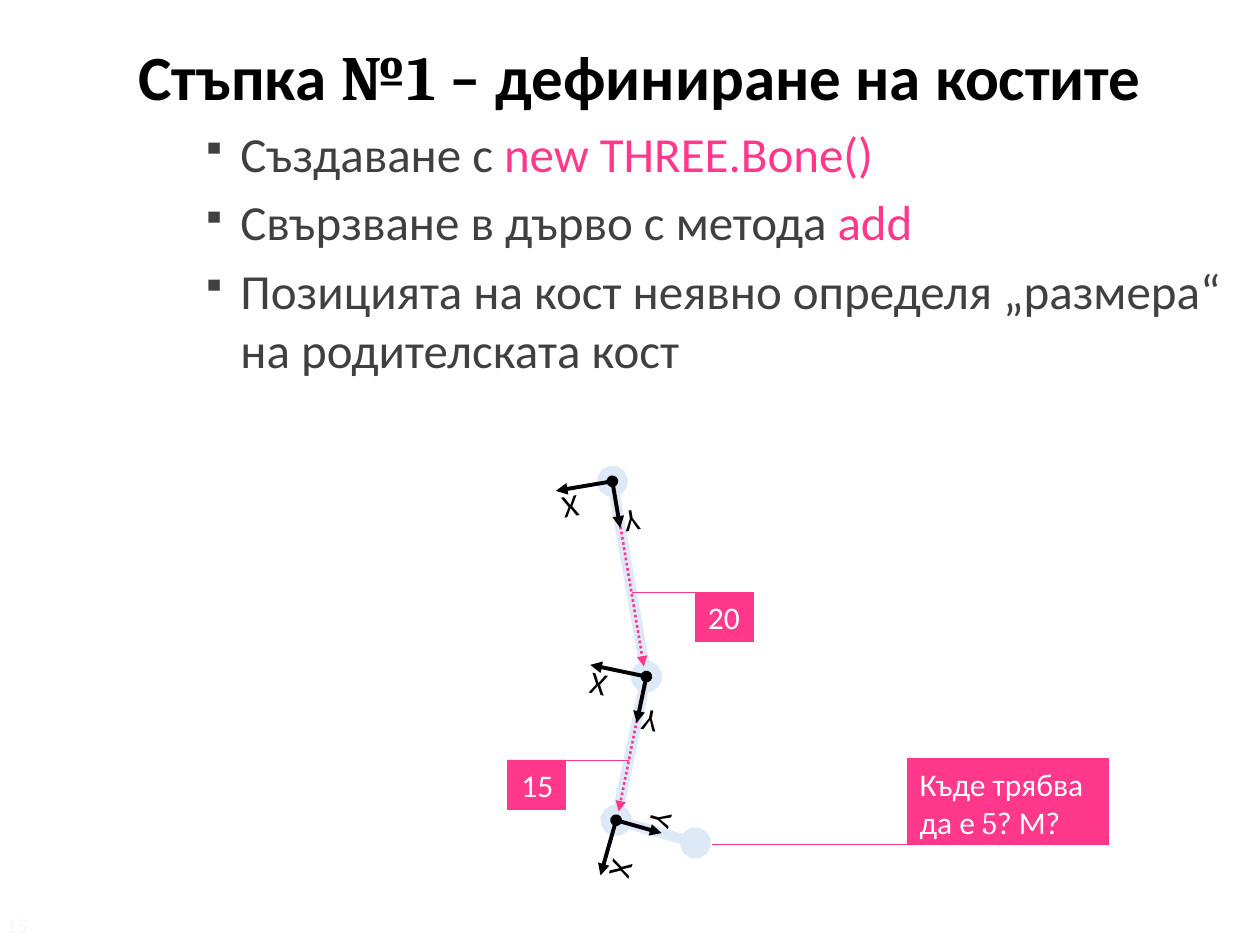
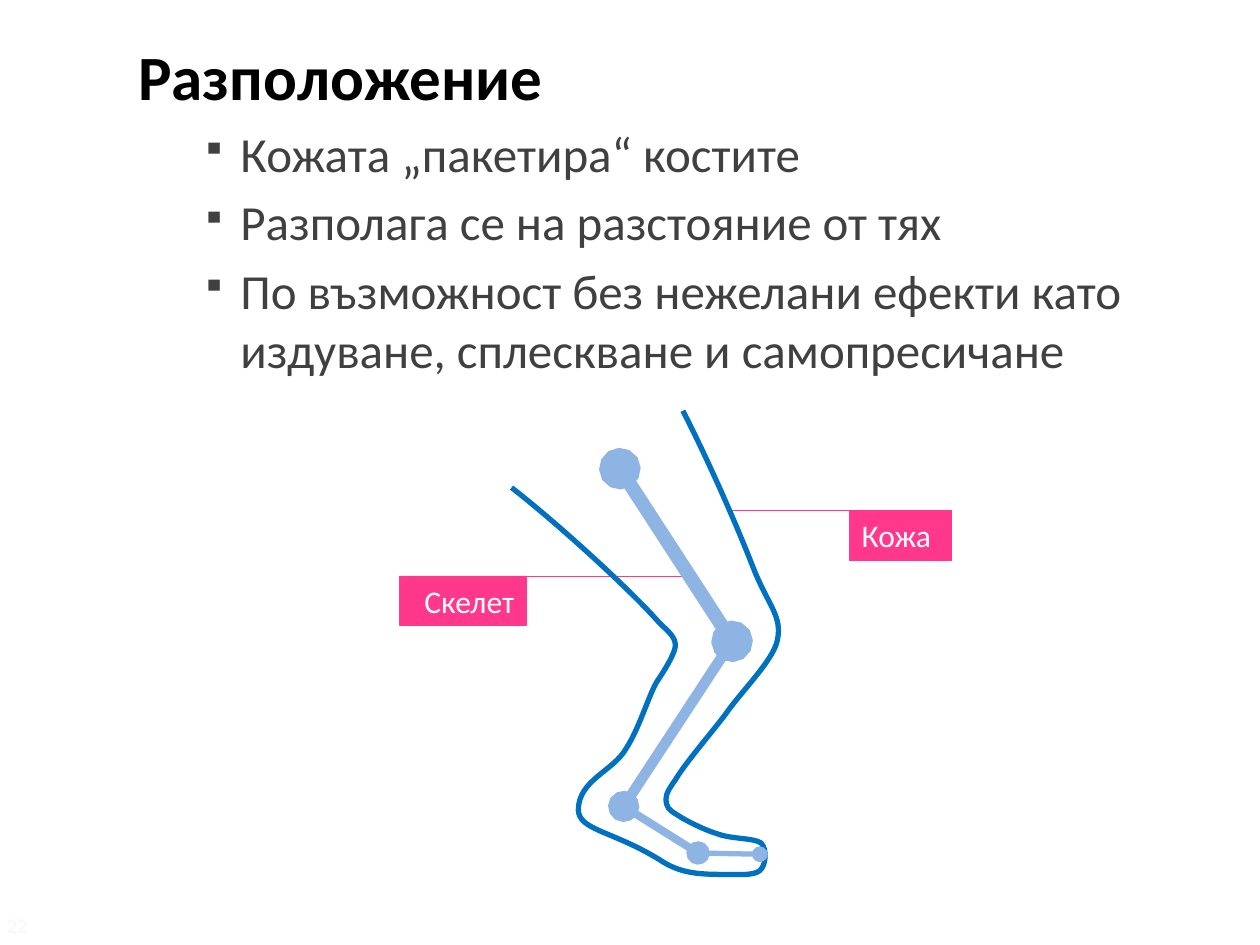
import math
from dataclasses import dataclass

import pptx
import pptx.dml.color
import pptx.enum.dml
import pptx.enum.shapes
import pptx.enum.text
import pptx.oxml.ns
import pptx.util
from lxml import etree

Inches = pptx.util.Inches
Pt = pptx.util.Pt
qn = pptx.oxml.ns.qn
ALIGN = pptx.enum.text.PP_ALIGN


@dataclass(frozen=True)
class Theme:
    ink: str = "000000"
    body: str = "404040"
    accent: str = "FF388C"
    on_accent: str = "FFFFFF"
    pale_bone: str = "DDE9F7"
    bone: str = "8EB4E3"
    skin: str = "0070C0"
    page_number: str = "F8F8F8"
    font: str = "Calibri"
    numeral_font: str = "Cambria"
    title_size: int = 36
    body_size: int = 28
    label_size: int = 18
    page_number_size: int = 12


THEME = Theme()

AXIS_LENGTH = {"X": 0.455, "Y": 0.375}
# Offsets of the axis letters along the X and Y directions of a joint
AXIS_LABEL_OFFSET = {"X": (0.36, 0.16), "Y": (-0.1, 0.355)}
AXIS_LABEL_SIZE = (0.42, 0.51)

SKIN_START = (4.06, 3.87)
SKIN_CURVES = [
    (4.47, 4.19, 5.04, 4.72, 5.23, 4.94),
    (5.29, 5, 5.36, 5.05, 5.36, 5.12),
    (5.36, 5.2, 5.22, 5.4, 5.22, 5.4),
    (5.15, 5.51, 5.08, 5.77, 4.97, 5.94),
    (4.87, 6.12, 4.59, 6.19, 4.59, 6.43),
    (4.6, 6.59, 4.85, 6.59, 5.23, 6.82),
    (5.39, 6.93, 5.54, 6.94, 5.74, 6.94),
    (5.87, 6.94, 5.98, 6.95, 6.03, 6.91),
    (6.08, 6.87, 6.09, 6.74, 6.04, 6.69),
    (5.98, 6.65, 5.81, 6.66, 5.7, 6.62),
    (5.6, 6.59, 5.48, 6.53, 5.41, 6.49),
    (5.35, 6.45, 5.3, 6.43, 5.29, 6.38),
    (5.28, 6.33, 5.28, 6.3, 5.36, 6.19),
    (5.43, 6.07, 5.61, 5.86, 5.75, 5.68),
    (5.88, 5.49, 6.14, 5.24, 6.17, 5.08),
    (6.21, 4.89, 6.1, 4.81, 5.98, 4.51),
    (5.86, 4.2, 5.63, 3.67, 5.42, 3.26),
]


def rgb(color):
    return pptx.dml.color.RGBColor.from_string(color)


def accented(text):
    return text, {"color": THEME.accent}


def numeral(text):
    return text, {"font": THEME.numeral_font}


def write(paragraph, pieces, size, color, bold=False):
    """Fill a paragraph with plain strings and (text, overrides) pairs."""
    paragraph.font.name = THEME.font
    paragraph.font.size = Pt(size)
    paragraph.font.bold = bold
    paragraph.font.color.rgb = rgb(color)
    for piece in pieces:
        text, overrides = (piece, {}) if isinstance(piece, str) else piece
        run = paragraph.add_run()
        run.text = text
        if "color" in overrides:
            run.font.color.rgb = rgb(overrides["color"])
        if "font" in overrides:
            run.font.name = overrides["font"]


def add_bullet(paragraph):
    properties = paragraph._p.get_or_add_pPr()
    properties.set("marL", str(Inches(0.81)))
    properties.set("indent", str(Inches(-0.31)))
    color = etree.SubElement(properties, qn("a:buClr"))
    etree.SubElement(color, qn("a:srgbClr"), val=THEME.body)
    etree.SubElement(properties, qn("a:buSzPct"), val="70000")
    etree.SubElement(properties, qn("a:buChar"), char="▪")


def add_text_box(slide, left, top, width, height):
    return slide.shapes.add_textbox(
        Inches(left), Inches(top), Inches(width), Inches(height))


def add_content_slide(deck, number, title, bullets):
    slide = deck.slides.add_slide(deck.slide_layouts[6])
    frame = add_text_box(slide, 1, 0.25, 8.92, 7.17).text_frame
    frame.word_wrap = True
    write(frame.paragraphs[0], title, THEME.title_size, THEME.ink, bold=True)
    for bullet in bullets:
        paragraph = frame.add_paragraph()
        add_bullet(paragraph)
        paragraph.level = 1
        paragraph.space_before = Pt(THEME.body_size * 0.2)
        write(paragraph, bullet, THEME.body_size, THEME.body)

    footer = add_text_box(slide, 0.05, 7.24, 0.4, 0.24).text_frame
    footer.margin_left = footer.margin_top = footer.margin_bottom = 0
    write(footer.paragraphs[0], [str(number)], THEME.page_number_size,
          THEME.page_number)
    return slide


def add_line(slide, start, end, color, width, head=None, tail=None,
             dotted=False):
    line = slide.shapes.add_connector(
        pptx.enum.shapes.MSO_CONNECTOR.STRAIGHT,
        *(Inches(value) for value in (*start, *end)))
    line.line.color.rgb = rgb(color)
    line.line.width = Pt(width)
    if dotted:
        line.line.dash_style = pptx.enum.dml.MSO_LINE.ROUND_DOT
    outline = line.line._get_or_add_ln()
    for tag, kind in (("a:headEnd", head), ("a:tailEnd", tail)):
        if kind:
            etree.SubElement(outline, qn(tag), type=kind)
    etree.SubElement(line._element.spPr, qn("a:effectLst"))


def add_bone(slide, start, end, color, width):
    add_line(slide, start, end, color, width, head="oval", tail="oval")


def add_offset_arrow(slide, start, end):
    add_line(slide, start, end, THEME.accent, 1.5, tail="triangle",
             dotted=True)


def add_joint_axes(slide, origin, angle):
    """Draw X and Y arrows with their letters, turned by angle degrees."""
    cos, sin = math.cos(math.radians(angle)), math.sin(math.radians(angle))

    def place(along_x, along_y):
        return (origin[0] + along_x * cos + along_y * sin,
                origin[1] + along_x * sin - along_y * cos)

    add_line(slide, origin, place(AXIS_LENGTH["X"], 0), THEME.ink, 2.25,
             tail="triangle")
    add_line(slide, origin, place(0, AXIS_LENGTH["Y"]), THEME.ink, 2.25,
             head="oval", tail="triangle")
    width, height = AXIS_LABEL_SIZE
    for letter, offset in AXIS_LABEL_OFFSET.items():
        x, y = place(*offset)
        label = add_text_box(slide, x - width / 2, y - height / 2,
                             width, height)
        label.rotation = angle
        frame = label.text_frame
        frame.word_wrap = True
        frame.vertical_anchor = pptx.enum.text.MSO_ANCHOR.MIDDLE
        frame.paragraphs[0].alignment = ALIGN.CENTER
        write(frame.paragraphs[0], [letter], THEME.label_size, THEME.ink)


def add_callout(slide, pieces, box, target_x, on_bottom=False):
    """Draw a label whose top or bottom edge runs on to target_x."""
    left, top, width, height = box
    points_right = target_x > left
    label = slide.shapes.add_shape(
        pptx.enum.shapes.MSO_SHAPE.RECTANGLE,
        *(Inches(value) for value in box))
    label.shadow.inherit = False
    label.fill.solid()
    label.fill.fore_color.rgb = rgb(THEME.accent)
    label.line.color.rgb = rgb(THEME.accent)
    label.line.width = Pt(0.25)
    frame = label.text_frame
    frame.word_wrap = True
    frame.vertical_anchor = pptx.enum.text.MSO_ANCHOR.TOP
    frame.paragraphs[0].alignment = (
        ALIGN.RIGHT if points_right else ALIGN.LEFT)
    write(frame.paragraphs[0], pieces, THEME.label_size, THEME.on_accent)

    far_x = left if points_right else left + width
    edge_y = top + height if on_bottom else top
    add_line(slide, (target_x, edge_y), (far_x, edge_y), THEME.accent, 0.25)


def add_curve(slide, start, curves, color, width):
    """Draw an open outline of cubic curves."""
    builder = slide.shapes.build_freeform(*(Inches(v) for v in start))
    builder.add_line_segments(
        [(Inches(curve[i]), Inches(curve[i + 1]))
         for curve in curves for i in (0, 2, 4)], close=False)
    outline = builder.convert_to_shape()
    outline.shadow.inherit = False
    outline.fill.background()
    outline.line.color.rgb = rgb(color)
    outline.line.width = Pt(width)

    geometry = next(outline._element.iter(qn("a:path")))
    segments = geometry.findall(qn("a:lnTo"))
    for first in range(0, len(segments), 3):
        cubic = etree.SubElement(geometry, qn("a:cubicBezTo"))
        for segment in segments[first:first + 3]:
            cubic.append(segment[0])
            geometry.remove(segment)


def add_bones_slide(deck):
    slide = add_content_slide(
        deck, 15,
        ["Стъпка ", numeral("№1"), " – дефиниране на костите"],
        [["Създаване с ", accented("new THREE.Bone()")],
         ["Свързване в дърво с метода ", accented("add")],
         ["Позицията на кост неявно определя „размера“ "
          "на родителската кост"]])
    hip, knee, ankle, toe = (4.86, 3.82), (5.13, 5.37), (4.89, 6.51), (5.52, 6.69)
    for start, end in ((hip, knee), (ankle, knee), (ankle, toe)):
        add_bone(slide, start, end, THEME.pale_bone, 6)
    add_offset_arrow(slide, (4.87, 3.85), (5.11, 5.29))
    add_joint_axes(slide, hip, 170.4)
    add_callout(slide, ["20"], (5.52, 4.7, 0.46, 0.39), 5.02)
    add_joint_axes(slide, ankle, 105.8)
    add_offset_arrow(slide, (5.12, 5.39), (4.91, 6.44))
    add_joint_axes(slide, knee, 191.8)
    add_callout(slide, ["15"], (4.03, 6.03, 0.46, 0.39), 4.99)
    add_callout(slide, ["Къде трябва да е ", numeral("5"), "? М?"],
                (7.2, 6.02, 1.6, 0.68), 5.65, on_bottom=True)


def add_skin_slide(deck):
    slide = add_content_slide(
        deck, 22, ["Разположение"],
        [["Кожата „пакетира“ костите"],
         ["Разполага се на разстояние от тях"],
         ["По възможност без нежелани ефекти като издуване, "
          "сплескване и самопресичане"]])
    add_callout(slide, ["Скелет"], (3.17, 4.57, 1.01, 0.39), 5.46)
    add_callout(slide, ["Кожа"], (6.74, 4.05, 0.81, 0.4), 5.81)
    add_curve(slide, SKIN_START, SKIN_CURVES, THEME.skin, 3)
    hip, knee, ankle = (4.92, 3.72), (5.81, 5.09), (4.95, 6.4)
    ball, toe = (5.54, 6.77), (6.03, 6.78)
    for start, end, width in ((hip, knee, 8), (ankle, knee, 6),
                              (ankle, ball, 4.5), (toe, ball, 3)):
        add_bone(slide, start, end, THEME.bone, width)


def main():
    deck = pptx.Presentation()
    deck.slide_width, deck.slide_height = Inches(10), Inches(7.5)
    add_bones_slide(deck)
    add_skin_slide(deck)
    deck.save("out.pptx")


if __name__ == "__main__":
    main()
